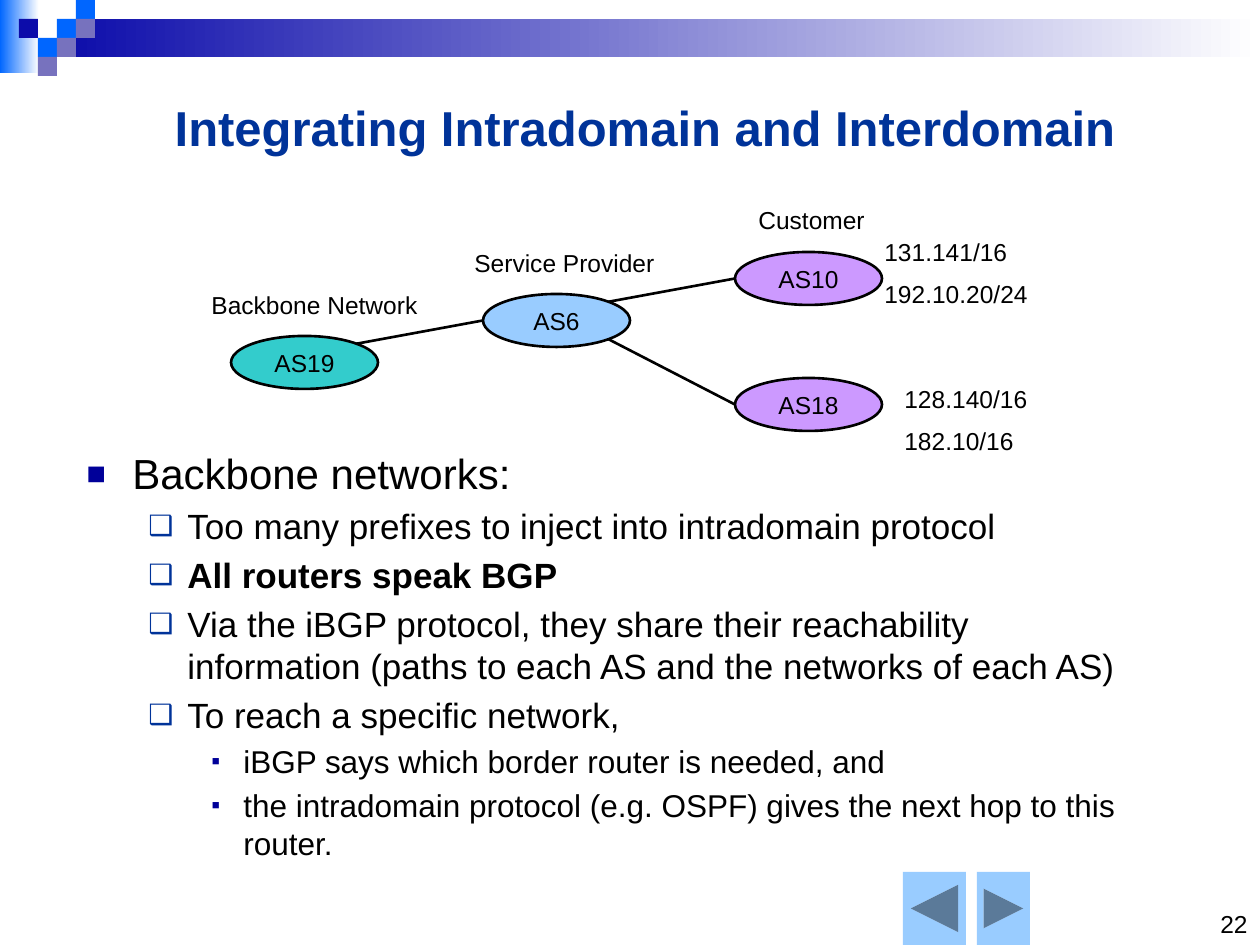
from math import sqrt

from lxml import etree
from pptx import Presentation
from pptx.dml.color import RGBColor
from pptx.enum.shapes import MSO_CONNECTOR, MSO_SHAPE
from pptx.enum.text import MSO_ANCHOR, PP_ALIGN
from pptx.oxml.ns import qn
from pptx.util import Emu, Pt

RECTANGLE, ELLIPSE = MSO_SHAPE.RECTANGLE, MSO_SHAPE.OVAL
BACK, FORWARD = MSO_SHAPE.ACTION_BUTTON_BACK_OR_PREVIOUS, MSO_SHAPE.ACTION_BUTTON_FORWARD_OR_NEXT
STRAIGHT = MSO_CONNECTOR.STRAIGHT
LEFT, CENTER, RIGHT = PP_ALIGN.LEFT, PP_ALIGN.CENTER, PP_ALIGN.RIGHT
TOP, MIDDLE, BOTTOM = MSO_ANCHOR.TOP, MSO_ANCHOR.MIDDLE, MSO_ANCHOR.BOTTOM

PX_PER_INCH = 126
FONT = "Arial"
BLACK, WHITE, NAVY, BLUE, LILAC, SKY = "000000", "FFFFFF", "0C0CAA", "0066FF", "7772BE", "99CCFF"

CELL = 19
GRADIENTS = [((0, 0, 39, 73), BLUE), ((57, 19, 1203, 38), NAVY)]
MOSAIC = [  # column, row, colour
    (3, 1, BLUE), (4, 0, BLUE), (4, 1, LILAC), (2, 2, BLUE),
    (1, 1, NAVY), (3, 2, LILAC), (2, 3, LILAC),
]
BUTTONS = [(BACK, (903, 872, 63, 73)), (FORWARD, (977, 872, 53, 73))]

NODE_SIZE = (147, 53)
NODES = {  # left, top, colour
    "AS10": (735, 252, "CC99FF"),
    "AS18": (735, 378, "CC99FF"),
    "AS19": (231, 336, "33CCCC"),
    "AS6": (483, 294, SKY),
}
LINKS = [("AS19", "AS6"), ("AS6", "AS18"), ("AS6", "AS10")]
LABELS = [
    ((746, 199, 136, 42), ["Customer"]),
    ((462, 242, 210, 42), ["Service Provider"]),
    ((199, 284, 231, 42), ["Backbone Network"]),
    ((892, 378, 189, 86), ["128.140/16", "182.10/16"]),
    ((872, 231, 189, 86), ["131.141/16", "192.10.20/24"]),
]

LEVELS = [  # text size, left indent, hanging indent, bullet, its colour and size in percent
    (24, 47, 47, "▪", "000099", 150),
    (20, 102, 39, "❑", "003399", 80),
    (18, 158, 32, "▪", "000099", 80),
]
BODY = [  # level, text, bold
    (0, "Backbone networks:", False),
    (1, "Too many prefixes to inject into intradomain protocol", False),
    (1, "All routers speak BGP", True),
    (1, "Via the iBGP protocol, they share their reachability information "
        "(paths to each AS and the networks of each AS)", False),
    (1, "To reach a specific network,", False),
    (2, "iBGP says which border router is needed, and", False),
    (2, "the intradomain protocol (e.g. OSPF) gives the next hop to this router.", False),
]


def px(value):
    return Emu(round(value * 914400 / PX_PER_INCH))


def rgb(value):
    return RGBColor.from_string(value)


def write(paragraph, text, size=14, color=BLACK, bold=False, align=LEFT, before=0):
    paragraph.alignment = align
    paragraph.space_before = Pt(before)
    run = paragraph.add_run()
    run.text = text
    run.font.name = FONT
    run.font.size = Pt(size)
    run.font.bold = bold
    run.font.color.rgb = rgb(color)


def add_paragraphs(frame, count):
    """Return count paragraphs of a new text frame, the existing one first."""
    return [frame.paragraphs[0]] + [frame.add_paragraph() for _ in range(count - 1)]


def add_text_frame(slide, box, anchor=TOP):
    frame = slide.shapes.add_textbox(*map(px, box)).text_frame
    frame.word_wrap = True
    frame.vertical_anchor = anchor
    return frame


def add_shape(slide, kind, box, color, fade=False, outlined=False):
    """Add a filled shape; fade runs its colour to white from left to right."""
    shape = slide.shapes.add_shape(kind, *map(px, box))
    shape.shadow.inherit = False
    if fade:
        shape.fill.gradient()
        shape.fill.gradient_angle = 0
        for stop, stop_color in zip(shape.fill.gradient_stops, (color, WHITE)):
            stop.color.rgb = rgb(stop_color)
    else:
        shape.fill.solid()
        shape.fill.fore_color.rgb = rgb(color)
    if outlined:
        shape.line.color.rgb = rgb(BLACK)
        shape.line.width = Pt(1.5)
    else:
        shape.line.fill.background()
    return shape


def add_bullet(paragraph, level):
    _, indent, hanging, character, color, percent = LEVELS[level]
    paragraph.level = level
    properties = paragraph._p.get_or_add_pPr()
    properties.set("marL", str(px(indent)))
    properties.set("indent", str(px(-hanging)))
    bullet_color = etree.SubElement(properties, qn("a:buClr"))
    etree.SubElement(bullet_color, qn("a:srgbClr"), val=color)
    etree.SubElement(properties, qn("a:buSzPct"), val=str(percent * 1000))
    etree.SubElement(properties, qn("a:buFont"), typeface=FONT)
    etree.SubElement(properties, qn("a:buChar"), char=character)


def add_link(slide, source, target):
    """Join the source's upper or lower right diagonal point to the target's left."""
    width, height = NODE_SIZE
    source_left, source_top, _ = NODES[source]
    target_left, target_top, _ = NODES[target]
    direction = 1 if target_top > source_top else -1
    ends = (
        source_left + width / 2 * (1 + sqrt(0.5)),
        source_top + height / 2 * (1 + direction * sqrt(0.5)),
        target_left,
        target_top + height / 2,
    )
    link = slide.shapes.add_connector(STRAIGHT, *map(px, ends))
    link.line.color.rgb = rgb(BLACK)
    link.line.width = Pt(1.5)
    etree.SubElement(link._element.spPr, qn("a:effectLst"))


def main():
    presentation = Presentation()
    presentation.slide_width, presentation.slide_height = px(1260), px(945)
    slide = presentation.slides.add_slide(presentation.slide_layouts[6])

    for box, color in GRADIENTS:
        add_shape(slide, RECTANGLE, box, color, fade=True)
    for column, row, color in MOSAIC:
        add_shape(slide, RECTANGLE, (column * CELL, row * CELL, CELL, CELL), color)
    for kind, box in BUTTONS:
        add_shape(slide, kind, box, SKY)

    number = add_text_frame(slide, (1040, 882, 220, 63), BOTTOM)
    write(number.paragraphs[0], "22", align=RIGHT)
    title = add_text_frame(slide, (73, 91, 1144, 72), MIDDLE)
    write(title.paragraphs[0], "Integrating Intradomain and Interdomain",
          size=28, color="003399", bold=True, align=CENTER)

    body = add_text_frame(slide, (73, 441, 1081, 420))
    for paragraph, (level, text, bold) in zip(add_paragraphs(body, len(BODY)), BODY):
        size = LEVELS[level][0]
        write(paragraph, text, size=size, bold=bold, before=size * 0.2)
        add_bullet(paragraph, level)

    for name, (left, top, color) in NODES.items():
        node = add_shape(slide, ELLIPSE, (left, top, *NODE_SIZE), color, outlined=True)
        node.text_frame.word_wrap = False
        node.text_frame.vertical_anchor = MIDDLE
        write(node.text_frame.paragraphs[0], name, align=CENTER)
    for source, target in LINKS:
        add_link(slide, source, target)
    for box, lines in LABELS:
        frame = add_text_frame(slide, box)
        for paragraph, line in zip(add_paragraphs(frame, len(lines)), lines):
            write(paragraph, line, before=7)

    presentation.save("out.pptx")


if __name__ == "__main__":
    main()
